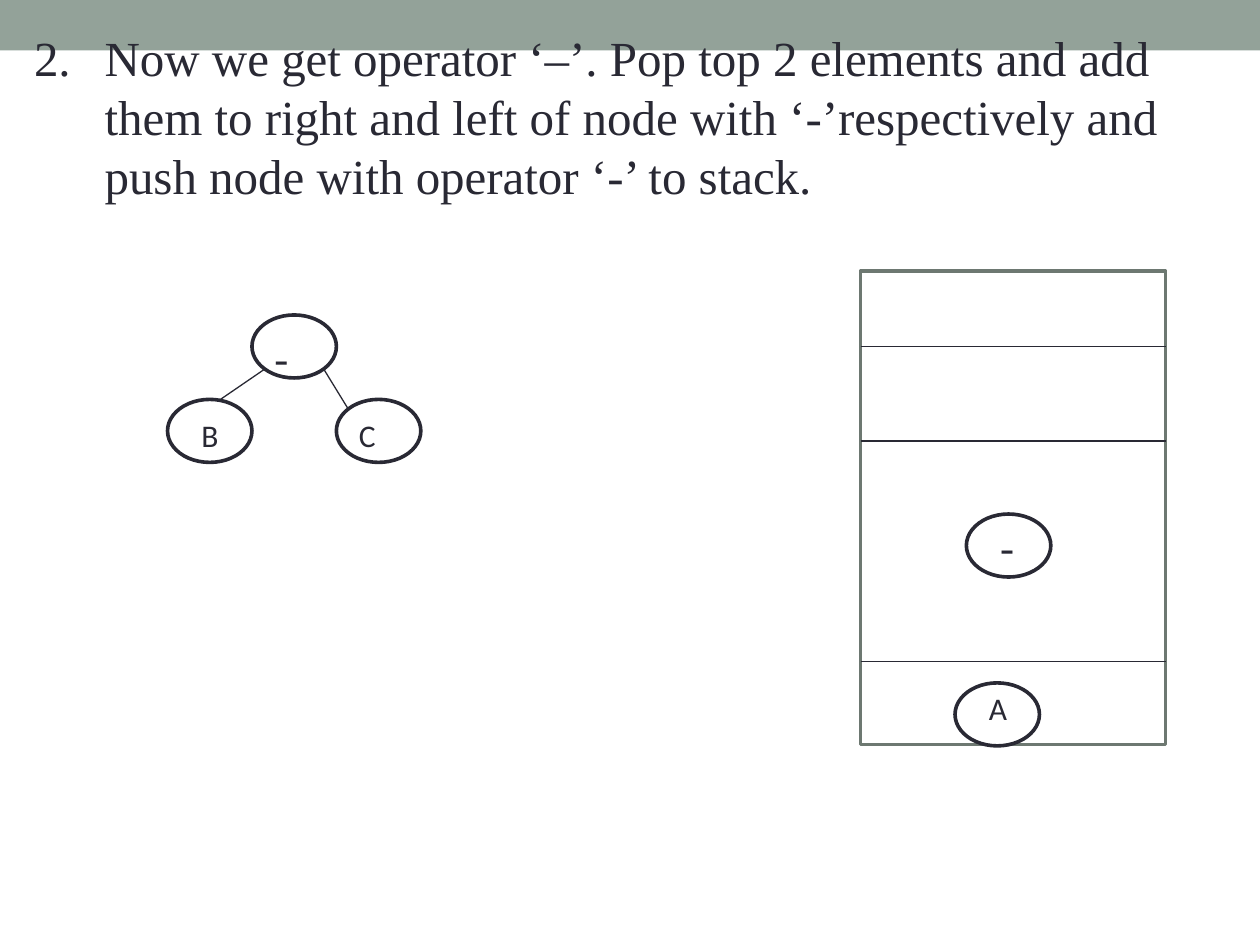
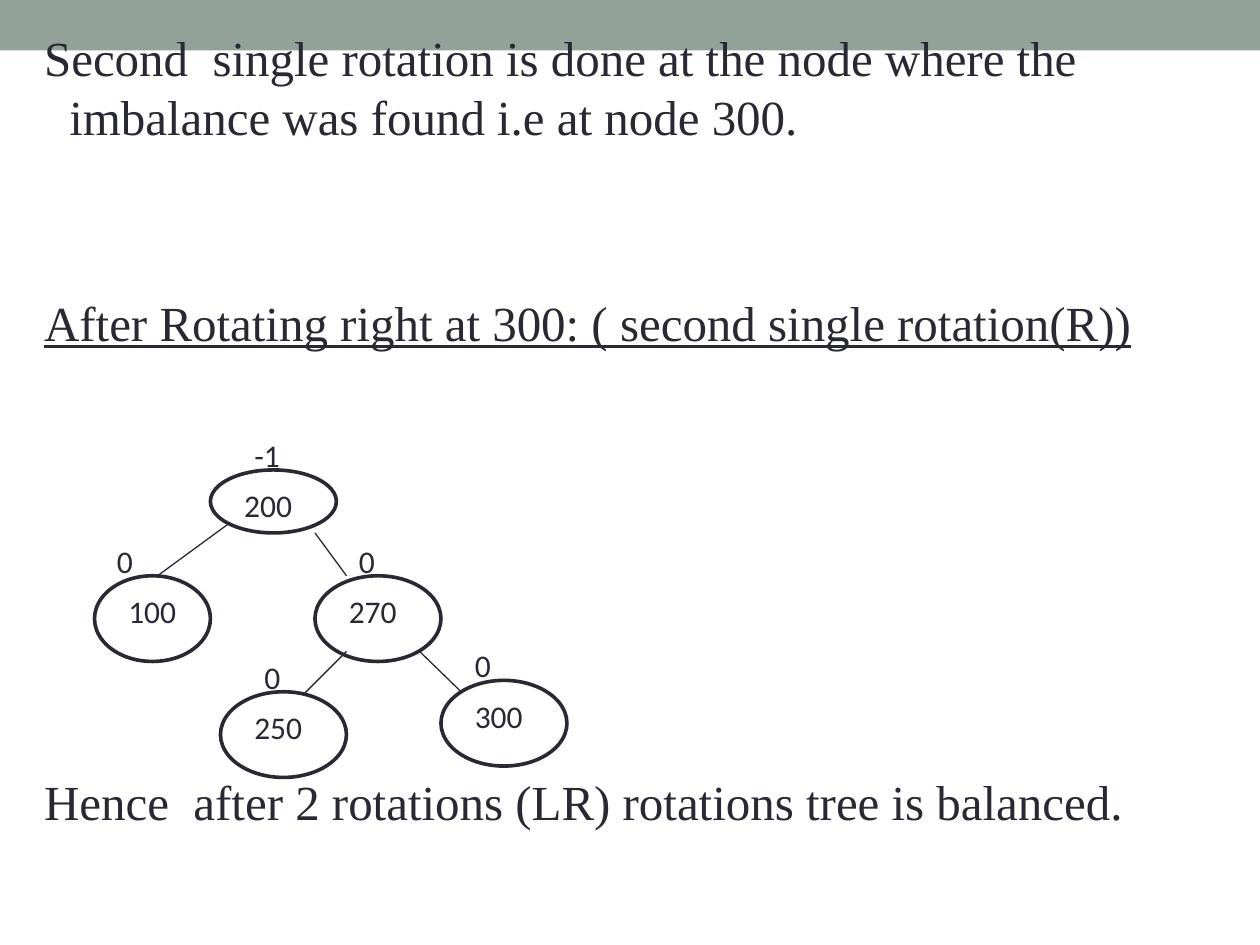
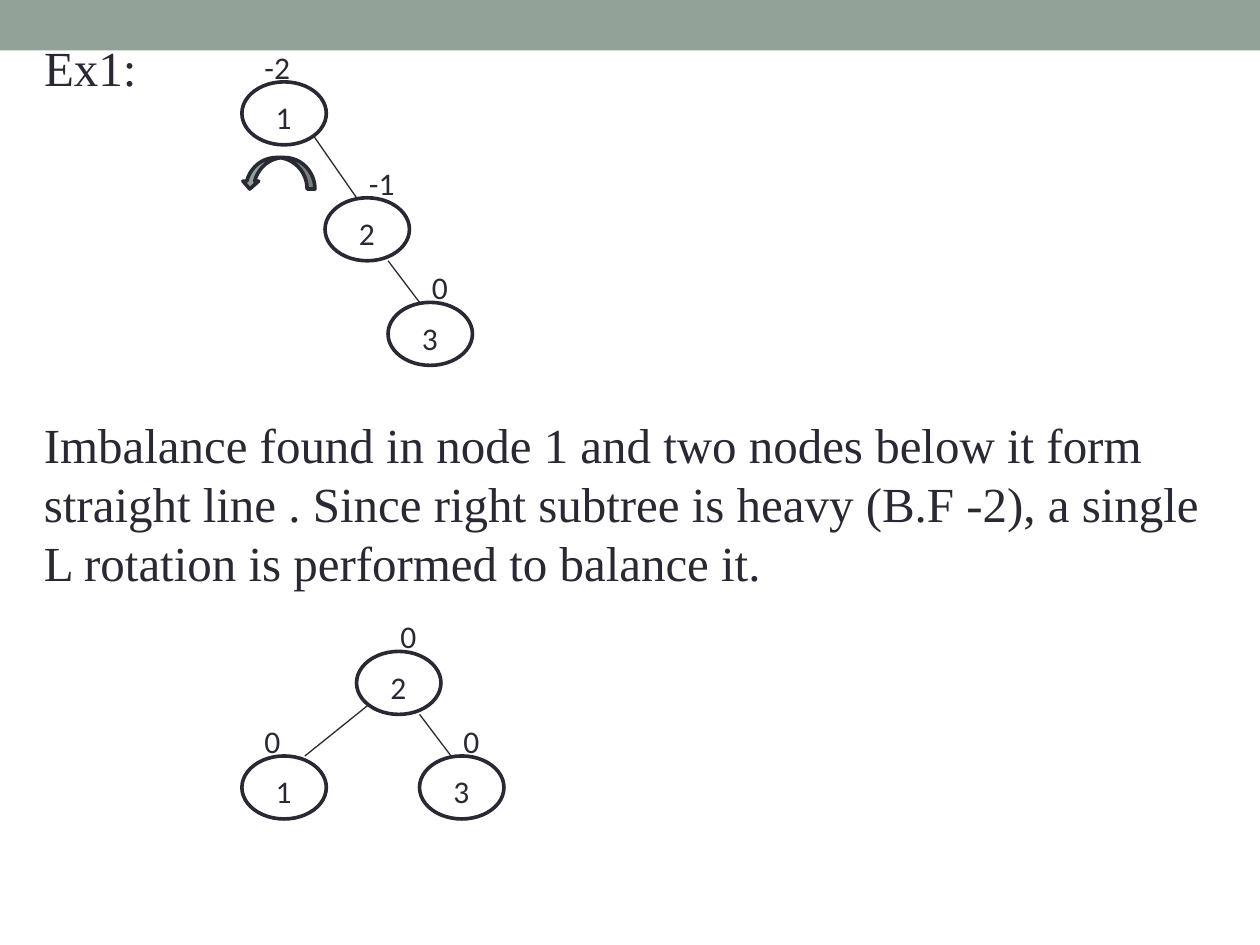
from pptx import Presentation
from pptx.dml.color import RGBColor
from pptx.enum.shapes import MSO_CONNECTOR, MSO_SHAPE
from pptx.enum.text import MSO_ANCHOR, MSO_AUTO_SIZE, PP_ALIGN
from pptx.oxml.ns import qn
from pptx.util import Inches, Pt

RECT = MSO_SHAPE.RECTANGLE
OVAL = MSO_SHAPE.OVAL
BEND = MSO_SHAPE.CURVED_DOWN_ARROW
LINE = MSO_CONNECTOR.STRAIGHT
LEFT = PP_ALIGN.LEFT
TOP = MSO_ANCHOR.TOP
NO_FIT = MSO_AUTO_SIZE.NONE
GROW = MSO_AUTO_SIZE.SHAPE_TO_FIT_TEXT

INK = "292934"
SAGE = "93A299"
FRAME = "6D7871"
WHITE = "FFFFFF"
SERIF = "Times New Roman"
SANS = "Calibri"
SMALL = (0.67, 0.5)


def color(value):
    return RGBColor.from_string(value)


def style(para, size, face):
    para.alignment = LEFT
    para.font.size = Pt(size)
    para.font.name = face
    para.font.color.rgb = color(INK)


def add_form(slide, kind, box, fill, edge=None):
    form = slide.shapes.add_shape(kind, *map(Inches, box))
    form.shadow.inherit = False
    form.fill.solid()
    form.fill.fore_color.rgb = color(fill)
    if edge:
        form.line.color.rgb = color(edge)
        form.line.width = Pt(2.08)
    else:
        form.line.fill.background()
    return form


def add_line(slide, start, end):
    points = map(Inches, (*start, *end))
    line = slide.shapes.add_connector(LINE, *points)
    line.line.color.rgb = color(INK)
    line.line.width = Pt(0.75)
    props = line.element.spPr
    props.append(props.makeelement(qn("a:effectLst"), {}))


def add_text(slide, box, text, size=18, face=SANS):
    area = slide.shapes.add_textbox(*map(Inches, box))
    frame = area.text_frame
    frame.word_wrap = True
    frame.auto_size = GROW
    para = frame.paragraphs[0]
    para.text = text
    style(para, size, face)


def add_node(slide, box, name, shift=(0.17, 0.08), size=18, face=SANS):
    left, top, width, height = box
    add_form(slide, OVAL, box, WHITE, INK)
    tall = 0.51 if size > 18 else 0.4
    spot = (left + shift[0], top + shift[1], width * 0.63, tall)
    add_text(slide, spot, name, size, face)


def add_tree(slide, left, top, nodes, edges):
    for name, x, y, size, factor, shift in nodes:
        x, y = left + x, top + y
        add_node(slide, (x, y, *size), name)
        add_text(slide, (x + shift, y - 0.32, 0.42, 0.4), factor)
    add_edges(slide, left, top, edges)


def add_edges(slide, left, top, edges):
    for x1, y1, x2, y2 in edges:
        add_line(slide, (left + x1, top + y1), (left + x2, top + y2))


def add_stack(slide, left, top, width, height):
    add_form(slide, RECT, (left, top, width, height), WHITE, FRAME)
    for y in (0.6, 1.35, 3.1):
        add_line(slide, (left, top + y), (left + width, top + y))
    add_node(slide, (left + 0.84, top + 1.93, *SMALL), "-",
             (0.17, 0), 24, SERIF)
    add_node(slide, (left + 0.75, top + 3.27, *SMALL), "A", (0.17, 0))


def add_band(slide, layout):
    band = add_form(slide, RECT, (0, 0, 10, 0.4), SAGE)
    layout.shapes.element.insert(2, band.element)


def add_body(slide, box, paras, indent=0.2):
    title = slide.shapes.title.element
    title.getparent().remove(title)
    body = slide.placeholders[1]
    body.left, body.top, body.width, body.height = map(Inches, box)
    frame = body.text_frame
    frame.auto_size = NO_FIT
    frame.vertical_anchor = TOP
    for i, (text, gap, under) in enumerate(paras):
        para = frame.paragraphs[0] if i == 0 else frame.add_paragraph()
        para.text = text
        props = para._p.get_or_add_pPr()
        props.set("marL", str(Inches(indent)))
        props.set("indent", str(-Inches(indent)))
        props.append(props.makeelement(qn("a:buNone"), {}))
        para.space_before = Pt(gap)
        style(para, 28, SERIF)
        para.font.underline = under


def draw_push(slide):
    add_body(slide, (0.17, 0.17, 9.67, 7.17), [
        ("2.\tNow we get operator ‘–’. Pop top 2 elements and add them to "
         "right and left of node with ‘-’respectively and push node with "
         "operator ‘-’ to stack.", 0, False)], 0.56)
    add_stack(slide, 6.83, 2.15, 2.42, 3.76)
    left, top = 1.33, 2.5
    add_node(slide, (left + 0.67, top, *SMALL), "-", (0.08, 0.08), 24, SERIF)
    add_node(slide, (left, top + 0.67, *SMALL), "B")
    add_node(slide, (left + 1.34, top + 0.67, *SMALL), "C", (0.08, 0.08))
    add_edges(slide, left, top, [(0.77, 0.43, 0.42, 0.67),
                                 (1.24, 0.43, 1.43, 0.74)])


def draw_second(slide):
    add_body(slide, (0.25, 0.17, 9.5, 7.08), [
        ("Second  single rotation is done at the node where the imbalance "
         "was found i.e at node 300.", 0, False),
        ("After Rotating right at 300: ( second single rotation(R))",
         84, True),
        ("Hence  after 2 rotations (LR) rotations tree is balanced.",
         240, False)])
    wide = (1, 0.68)
    add_tree(slide, 0.75, 3.73, [
        ("100", 0, 0.84, (0.92, 0.68), "0", 0.08),
        ("200", 0.92, 0, (1, 0.5), "-1", 0.25),
        ("300", 2.75, 1.67, wide, "0", 0.17),
        ("270", 1.75, 0.84, wide, "0", 0.25),
        ("250", 1, 1.76, wide, "0", 0.25),
    ], [
        (0.5, 0.84, 1.06, 0.43),
        (1.75, 0.5, 2, 0.84),
        (2.92, 1.77, 2.58, 1.44),
        (1.67, 1.77, 2, 1.44),
    ])


def draw_single(slide):
    add_body(slide, (0.25, 0.25, 9.5, 7), [("Ex1:", 0, False)])
    add_tree(slide, 1.92, 0.65, [
        ("1", 0, 0, SMALL, "-2", 0.08),
        ("2", 0.66, 0.92, SMALL, "-1", 0.25),
        ("3", 1.16, 1.75, SMALL, "0", 0.25),
    ], [
        (0.57, 0.43, 0.91, 0.92),
        (1.16, 1.42, 1.41, 1.75),
    ])
    add_text(slide, (0.25, 3.24, 9.42, 1.52),
             "Imbalance found in node 1 and two nodes below it form straight "
             "line . Since right subtree is heavy (B.F -2), a single L "
             "rotation is performed to balance it.", 28, SERIF)
    turn = add_form(slide, BEND, (1.92, 1.25, 0.58, 0.25), SAGE, INK)
    turn.element.spPr.find(qn("a:xfrm")).set("flipH", "1")
    add_tree(slide, 1.92, 5.17, [
        ("1", 0, 0.83, SMALL, "0", 0.08),
        ("2", 0.91, 0, SMALL, "0", 0.25),
        ("3", 1.41, 0.83, SMALL, "0", 0.25),
    ], [
        (0.5, 0.83, 1.01, 0.42),
        (1.41, 0.5, 1.66, 0.83),
    ])


def main():
    deck = Presentation()
    deck.slide_width = Inches(10)
    deck.slide_height = Inches(7.5)
    layout = deck.slide_layouts[1]
    for draw in (draw_push, draw_second, draw_single):
        draw(deck.slides.add_slide(layout))
    add_band(deck.slides[0], layout)
    deck.save("out.pptx")


if __name__ == "__main__":
    main()
